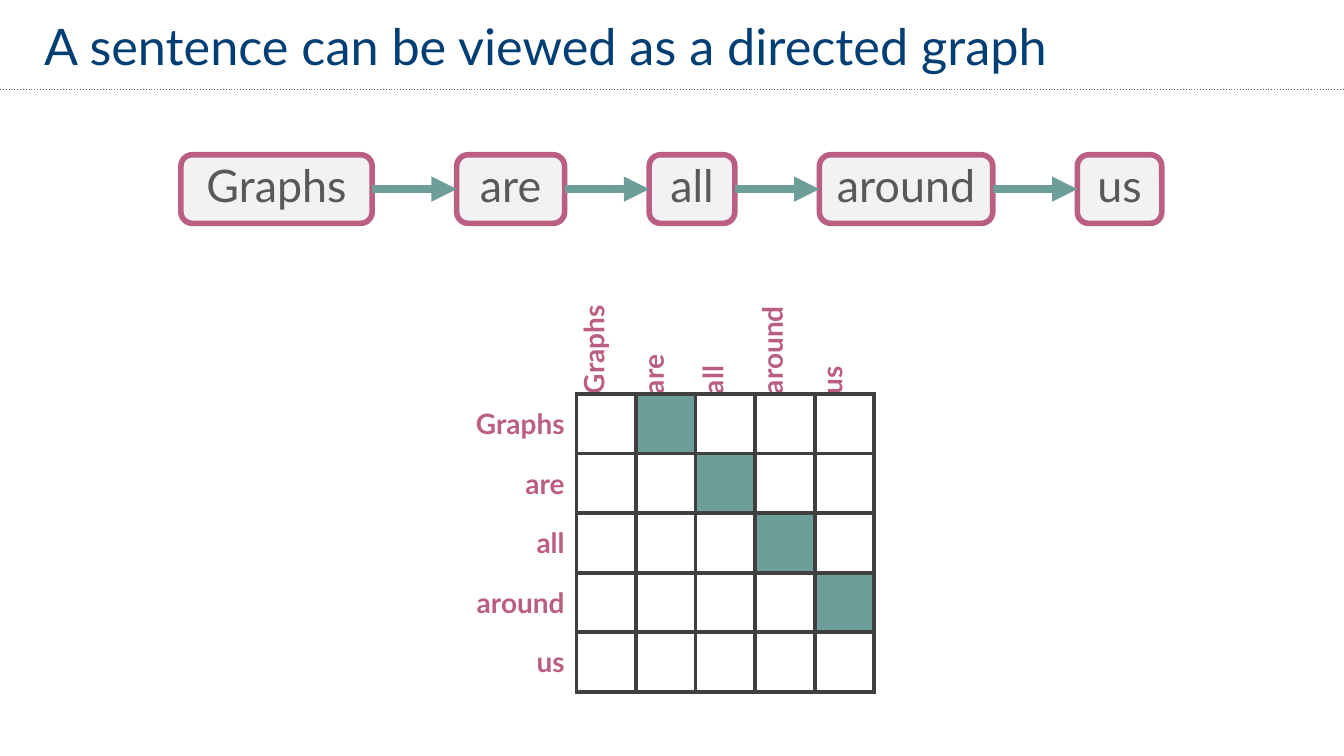
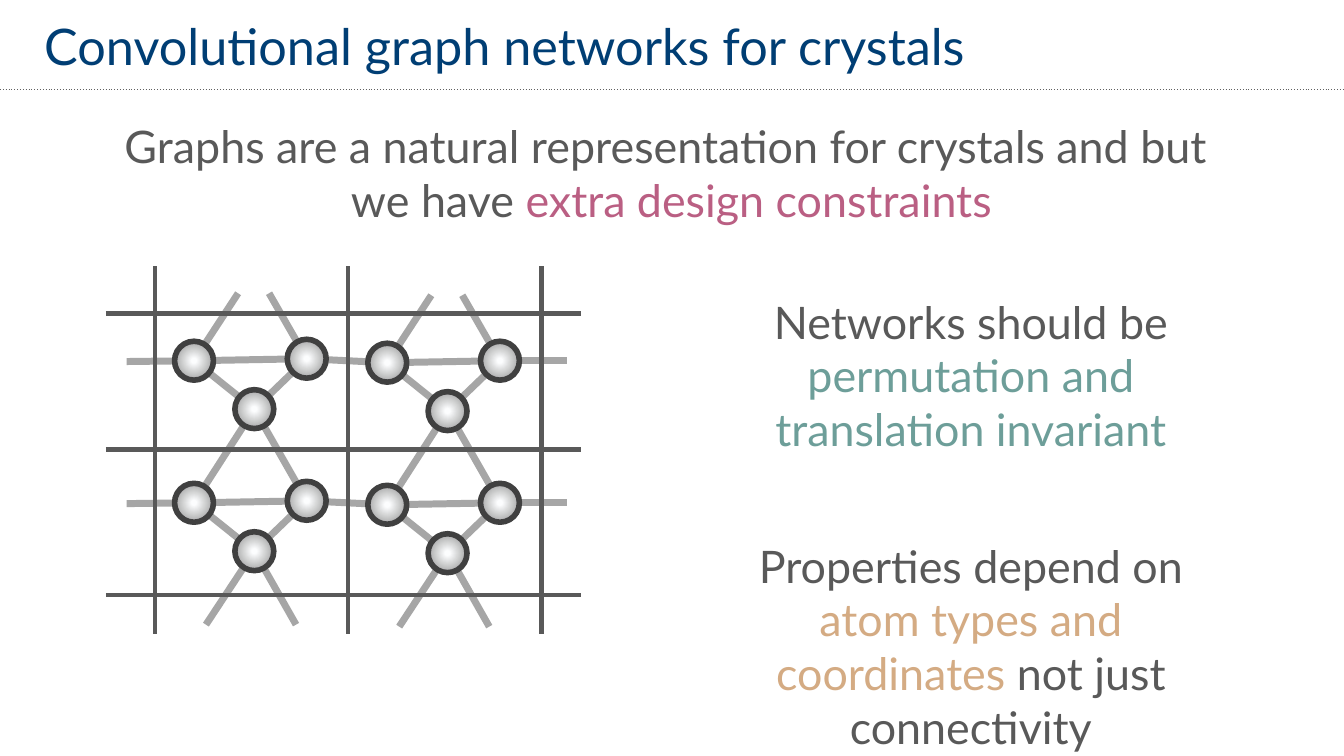
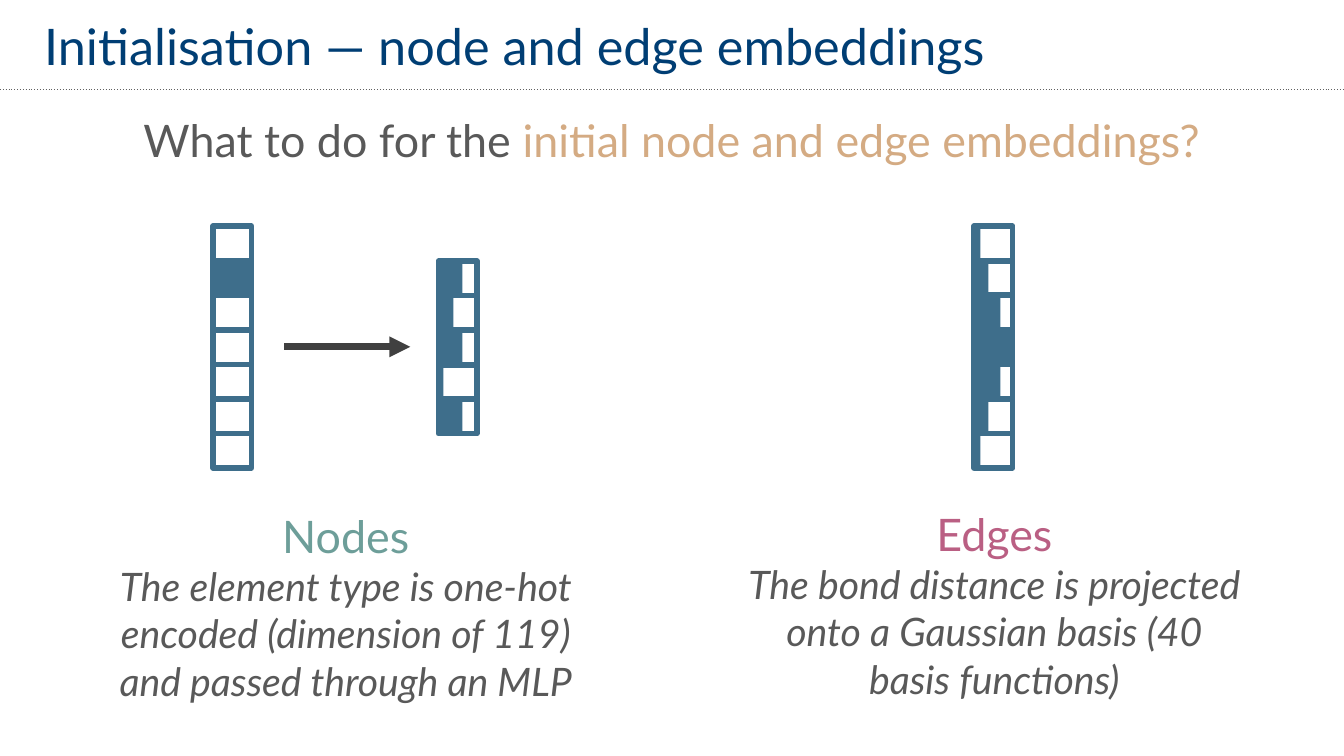
from itertools import product

from lxml.etree import SubElement
from pptx import Presentation
from pptx.dml.color import RGBColor
from pptx.enum.dml import MSO_LINE
from pptx.enum.shapes import MSO_CONNECTOR, MSO_SHAPE
from pptx.enum.text import MSO_ANCHOR, MSO_AUTO_SIZE, PP_ALIGN
from pptx.oxml.ns import qn
from pptx.util import Cm, Pt

FONT = "Lato"
COLORS = {
    "title": "003E74",
    "rule": "606060",
    "text": "595959",
    "rose": "BA5F83",
    "teal": "6D9E99",
    "sand": "D4AB83",
    "steel": "3E6E8B",
    "dark": "404040",
    "bond": "A6A6A6",
    "node": "F2F2F2",
    "white": "FFFFFF",
    "atom_core": "FCFDFE",
    "atom_rim": "808080",
}
SLIDE_WIDTH, SLIDE_HEIGHT = 33.87, 19.05
WORDS = ["Graphs", "are", "all", "around", "us"]


def color(name):
    return RGBColor.from_string(COLORS[name])


def set_font(font, size, ink=None, bold=None, italic=None):
    font.name = FONT
    font.size = Pt(size)
    font.bold = bold
    font.italic = italic
    if ink:
        font.color.rgb = color(ink)


def add_line(slide, start, end, ink, width, arrow=False):
    line = slide.shapes.add_connector(
        MSO_CONNECTOR.STRAIGHT, *map(Cm, start), *map(Cm, end))
    line.line.color.rgb = color(ink)
    line.line.width = Pt(width)
    SubElement(line._element.spPr, qn("a:effectLst"))
    if arrow:
        SubElement(line.line._get_or_add_ln(), qn("a:tailEnd"), type="triangle")
    return line


def add_outlined(slide, kind, box, fill, outline=None):
    shape = slide.shapes.add_shape(kind, *map(Cm, box))
    shape.shadow.inherit = False
    shape.fill.solid()
    shape.fill.fore_color.rgb = color(fill)
    if outline:
        shape.line.color.rgb = color(outline)
        shape.line.width = Pt(4)
    else:
        shape.line.fill.background()
    return shape


def add_centred_text(slide, box, *paragraphs):
    """Each paragraph is (size, italic, [(text, colour name), ...])."""
    frame = slide.shapes.add_textbox(*map(Cm, box)).text_frame
    frame.word_wrap = True
    for index, (size, italic, runs) in enumerate(paragraphs):
        paragraph = frame.add_paragraph() if index else frame.paragraphs[0]
        paragraph.alignment = PP_ALIGN.CENTER
        set_font(paragraph.font, size, runs[0][1] if len(runs) == 1 else None,
                 italic=italic)
        for words, ink in runs:
            run = paragraph.add_run()
            run.text = words
            if len(runs) > 1:
                run.font.color.rgb = color(ink)


def add_titled_slide(deck, heading):
    slide = deck.slides.add_slide(deck.slide_layouts[5])
    rule = add_line(slide, (0, 2.24), (SLIDE_WIDTH, 2.24), "rule", 0.5)
    rule.line.dash_style = MSO_LINE.ROUND_DOT
    rule._element.spPr.find(".//" + qn("a:prstDash")).set("val", "dot")
    title = slide.shapes.title
    title.left, title.top, title.width, title.height = map(
        Cm, (0.86, 0.53, 32.31, 1.24))
    frame = title.text_frame
    frame.text = heading
    frame.auto_size = MSO_AUTO_SIZE.NONE
    frame.vertical_anchor = MSO_ANCHOR.MIDDLE
    frame.paragraphs[0].alignment = PP_ALIGN.LEFT
    set_font(frame.paragraphs[0].font, 36, "title")
    return slide


def add_word_chain(slide):
    left, gap = 4.56, 2.13
    previous = None
    for word, width in zip(WORDS, (4.82, 2.72, 2.16, 4.37, 2.13)):
        node = add_outlined(slide, MSO_SHAPE.ROUNDED_RECTANGLE,
                            (left, 3.9, width, 1.73), "node", "rose")
        frame = node.text_frame
        frame.word_wrap = False
        frame.vertical_anchor = MSO_ANCHOR.MIDDLE
        frame.margin_top, frame.margin_bottom = 0, Cm(0.2)
        frame.text = word
        frame.paragraphs[0].alignment = PP_ALIGN.CENTER
        set_font(frame.paragraphs[0].font, 32, "text")
        if previous:
            arrow = add_line(slide, (left - gap, 4.77), (left, 4.77), "teal", 6, arrow=True)
            arrow.begin_connect(previous, 3)
            arrow.end_connect(node, 1)
        previous = node
        left += width + gap


def set_borders(cell, sides):
    """Draw the given sides (letters of LRTB) and clear the others."""
    properties = cell._tc.get_or_add_tcPr()
    for side in "LRTB":
        border = SubElement(properties, qn(f"a:ln{side}"), w=str(Pt(3)))
        if side in sides:
            fill = SubElement(border, qn("a:solidFill"))
            SubElement(fill, qn("a:srgbClr"), val=COLORS["dark"])
        else:
            SubElement(border, qn("a:noFill"))


def label_cell(cell, word, vertical):
    cell.vertical_anchor = MSO_ANCHOR.MIDDLE
    cell.margin_left = cell.margin_top = 0
    cell.margin_right = Cm(0.1 if vertical else 0.3)
    cell.margin_bottom = Cm(0.3 if vertical else 0)
    cell.text = word
    paragraph = cell.text_frame.paragraphs[0]
    if vertical:
        cell._tc.get_or_add_tcPr().set("vert", "vert270")
    else:
        paragraph.alignment = PP_ALIGN.RIGHT
    set_font(paragraph.font, 20, "rose", bold=True)


def add_adjacency_matrix(slide):
    count = len(WORDS) + 1
    label_size, cell_size = 2.59, 1.5
    side = label_size + cell_size * len(WORDS)
    matrix = slide.shapes.add_table(
        count, count, Cm(11.94), Cm(7.34), Cm(side), Cm(side)).table
    matrix.first_row = matrix.horz_banding = False
    for index in range(count):
        size = Cm(cell_size if index else label_size)
        matrix.columns[index].width = matrix.rows[index].height = size
    for row, column in product(range(count), repeat=2):
        cell = matrix.cell(row, column)
        if row and column:
            set_borders(cell, "LRTB")
        else:
            set_borders(cell, "R" if row else "B" if column else "")
            if row or column:
                label_cell(cell, WORDS[max(row, column) - 1], vertical=not row)
        follows = row and column == row + 1
        cell.fill.solid()
        cell.fill.fore_color.rgb = color("teal" if follows else "white")


def add_atom(slide, centre):
    size = 0.98
    box = (centre[0] - size / 2, centre[1] - size / 2, size, size)
    atom = add_outlined(slide, MSO_SHAPE.OVAL, box, "white", "dark")
    atom.fill.gradient()
    for stop, position, ink in zip(atom.fill.gradient_stops, (0.09, 1),
                                   ("atom_core", "atom_rim")):
        stop.position = position
        stop.color.rgb = color(ink)
    linear = atom._element.spPr.find(".//" + qn("a:lin"))
    gradient = linear.getparent()
    gradient.remove(linear)
    radial = SubElement(gradient, qn("a:path"), path="circle")
    SubElement(radial, qn("a:fillToRect"), l="50000", t="50000", r="50000", b="50000")


def add_crystal(slide):
    """Two by two unit cells of three atoms, with bonds leaving the edges."""
    unit = {"left": (4.89, 9.09), "right": (7.73, 9.04), "low": (6.41, 10.31)}
    atoms = {
        (column, row, name): (x + 4.87 * column, y + 0.05 * column + 3.58 * row)
        for column, row in product(range(2), repeat=2)
        for name, (x, y) in unit.items()
    }
    # Bonds: from atom, to atom, column step, row step
    bonds = [
        ("left", "right", 0, 0), ("left", "low", 0, 0), ("right", "low", 0, 0),
        ("right", "left", 1, 0), ("low", "left", 0, 1), ("low", "right", 0, 1),
    ]
    # Open bonds: atom, column or row they leave from, offset of the loose end
    loose_ends = [
        ("left", "row", 0, (1.11, -1.7)), ("right", "row", 0, (-0.95, -1.65)),
        ("low", "row", 1, (-1.22, 1.85)), ("low", "row", 1, (1.05, 1.85)),
        ("left", "column", 0, (-1.7, 0.02)), ("right", "column", 1, (1.7, 0)),
    ]
    for (column, row, name), (x, y) in atoms.items():
        for start, end, across, down in bonds:
            partner = atoms.get((column + across, row + down, end))
            if name == start and partner:
                add_line(slide, (x, y), partner, "bond", 5)
        for start, axis, edge, (dx, dy) in loose_ends:
            if name == start and edge == (row if axis == "row" else column):
                add_line(slide, (x, y), (x + dx, y + dy), "bond", 5)
    for centre in atoms.values():
        add_atom(slide, centre)
    for x in (3.91, 8.77, 13.64):
        add_line(slide, (x, 6.71), (x, 15.98), "text", 3.25)
    for y in (7.9, 11.33, 14.99):
        add_line(slide, (2.67, y), (14.63, y), "text", 3.25)


def add_vector(slide, left, top, values):
    """A column of cells, each filled from the left by its value (0 to 1)."""
    width, step = 0.97, 0.87
    add_outlined(slide, MSO_SHAPE.RECTANGLE,
                 (left, top, width, step * len(values)), "white", "steel")
    for index, value in enumerate(values):
        y = top + step * index
        if value:
            add_outlined(slide, MSO_SHAPE.RECTANGLE,
                         (left, y, width * value, step), "steel")
        if index:
            add_line(slide, (left, y), (left + width, y), "steel", 4)


def build_sentence_slide(deck):
    slide = add_titled_slide(deck, "A sentence can be viewed as a directed graph")
    add_adjacency_matrix(slide)
    add_word_chain(slide)


def build_crystal_slide(deck):
    slide = add_titled_slide(deck, "Convolutional graph networks for crystals")
    add_centred_text(
        slide, (2.36, 2.87, 29.13, 3.48),
        (32, None, [("Graphs are a natural representation for crystals and but ", "text")]),
        (32, None, [("we have ", "text"), ("extra design constraints", "rose")]))
    add_centred_text(
        slide, (17.67, 7.29, 13.6, 4.37),
        (32, None, [("Networks should be ", "text"),
                    ("permutation and translation invariant", "teal")]))
    add_centred_text(
        slide, (17.67, 13.44, 13.6, 4.37),
        (32, None, [("Properties depend on ", "text"),
                    ("atom types and coordinates ", "sand"),
                    ("not just connectivity", "text")]))
    add_crystal(slide)


def build_embedding_slide(deck):
    slide = add_titled_slide(deck, "Initialisation — node and edge embeddings")
    add_centred_text(
        slide, (1.96, 2.72, 29.95, 3.73),
        (32, None, [("What to do for the ", "text"),
                    ("initial node and edge embeddings?", "sand")]))
    add_centred_text(
        slide, (1.96, 12.7, 13.51, 5.72),
        (32, None, [("Nodes", "teal")]),
        (28, True, [("The element type is one-hot encoded (dimension of 119) "
                     "and passed through an MLP", "text")]))
    add_centred_text(
        slide, (18.47, 12.65, 13.18, 5.72),
        (32, None, [("Edges", "rose")]),
        (28, True, [("The bond distance is projected onto a Gaussian basis "
                     "(40 basis functions)", "text")]))
    add_vector(slide, 5.37, 5.7, (0, 1, 0, 0, 0, 0, 0))
    add_line(slide, (7.16, 8.74), (10.34, 8.74), "dark", 5, arrow=True)
    add_vector(slide, 11.05, 6.58, (0.62, 0.39, 0.62, 0.13, 0.62))
    add_vector(slide, 24.55, 5.7, (0.16, 0.37, 0.68, 1, 0.68, 0.37, 0.16))


def main():
    deck = Presentation()
    deck.slide_width, deck.slide_height = Cm(SLIDE_WIDTH), Cm(SLIDE_HEIGHT)
    build_sentence_slide(deck)
    build_crystal_slide(deck)
    build_embedding_slide(deck)
    deck.save("out.pptx")


if __name__ == "__main__":
    main()
